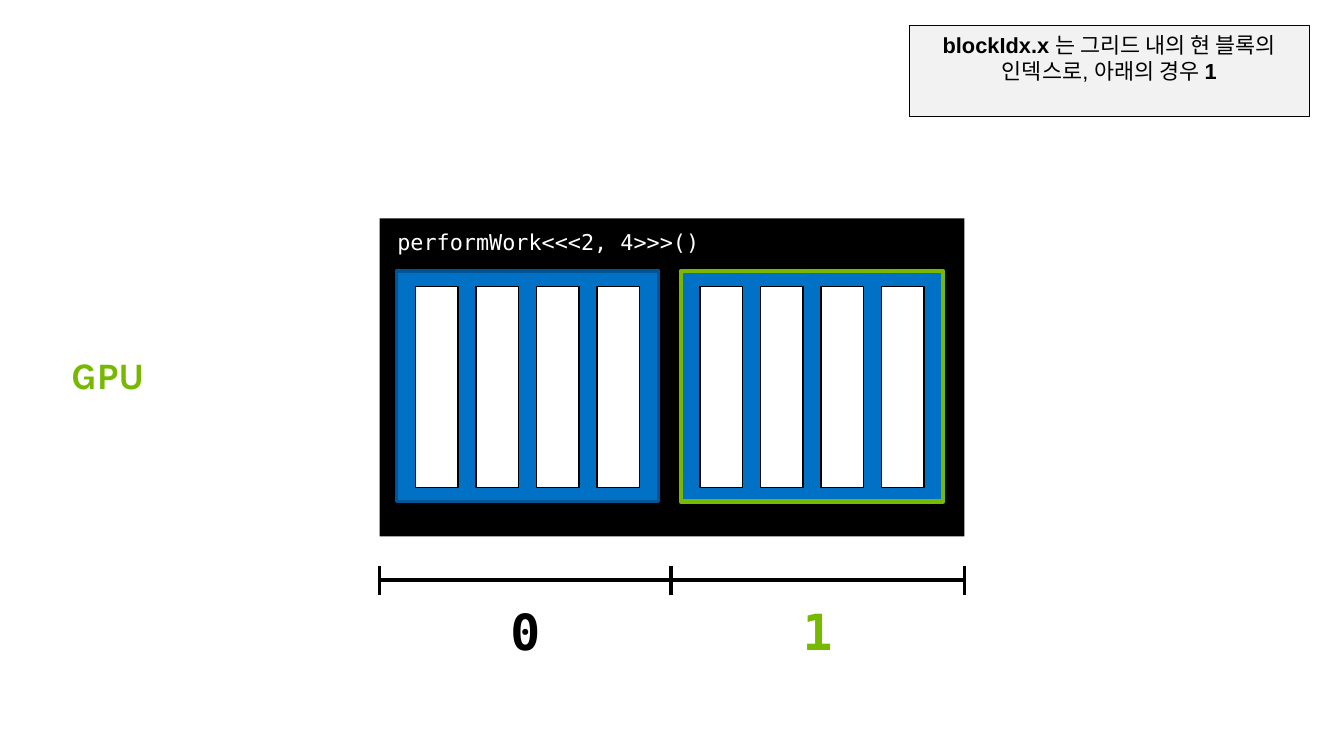
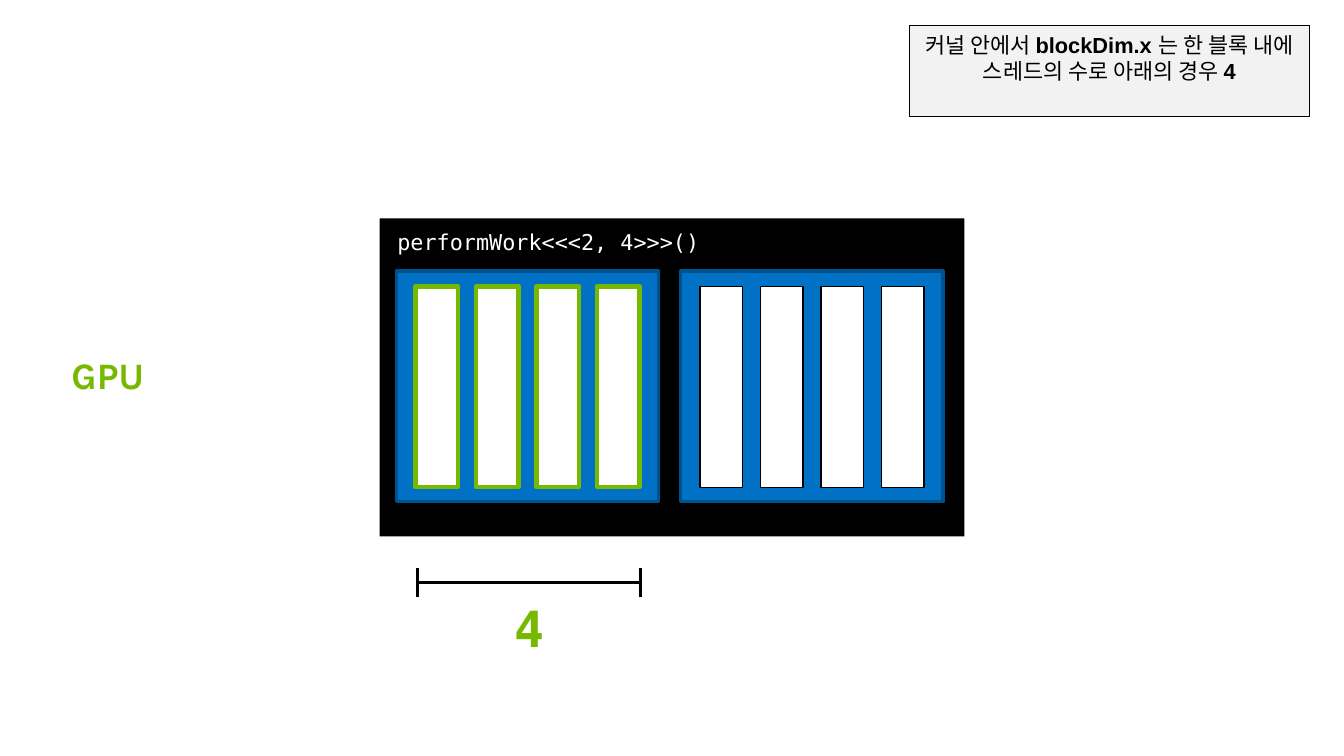
from dataclasses import dataclass
from itertools import pairwise

import lxml.etree
import pptx
import pptx.dml.color
import pptx.enum.shapes
import pptx.enum.text
import pptx.oxml.ns
import pptx.shapes.autoshape
import pptx.shapes.shapetree
import pptx.slide
import pptx.util

Inches = pptx.util.Inches
Pt = pptx.util.Pt
RGBColor = pptx.dml.color.RGBColor
ALIGN = pptx.enum.text.PP_ALIGN
ANCHOR = pptx.enum.text.MSO_ANCHOR
Shapes = pptx.shapes.shapetree.SlideShapes | pptx.shapes.shapetree.GroupShapes
Shape = pptx.shapes.autoshape.Shape

BLACK = RGBColor(0x00, 0x00, 0x00)
WHITE = RGBColor(0xFF, 0xFF, 0xFF)
GREEN = RGBColor(0x76, 0xB9, 0x00)
BLUE = RGBColor(0x00, 0x71, 0xC5)
NAVY = RGBColor(0x00, 0x54, 0x93)
DARK_BLUE = RGBColor(0x00, 0x52, 0x8F)
PALE_GRAY = RGBColor(0xF2, 0xF2, 0xF2)

SANS, MONO, LABEL_FONT = "Arial", "DejaVu Sans Mono", "Karla"

BLOCK_TOP, BLOCK_LEFT, BLOCK_PITCH = 2.42, 3.54, 2.54
THREAD_COUNT, THREAD_INSET, THREAD_PITCH = 4, 0.17, 0.54
TICK_HALF = 0.13


@dataclass(frozen=True)
class Box:
    left: float
    top: float
    width: float
    height: float


@dataclass(frozen=True)
class Outline:
    color: RGBColor
    width: float


@dataclass(frozen=True)
class TextStyle:
    font: str
    size: int
    color: RGBColor
    bold: bool = False
    align: ALIGN = ALIGN.LEFT
    anchor: ANCHOR = ANCHOR.MIDDLE


@dataclass(frozen=True)
class Block:
    outline: Outline
    threads: Outline


@dataclass(frozen=True)
class Ruler:
    """A scale with one label centred between each pair of ticks."""
    y: float
    ticks: tuple[float, ...]
    labels: tuple[tuple[str, RGBColor], ...]
    label_top: float
    label_width: float


@dataclass(frozen=True)
class KernelSlide:
    note: tuple[tuple[str, bool], ...]
    blocks: tuple[Block, ...]
    ruler: Ruler


THIN = Outline(BLACK, 0.75)
HIGHLIGHT = Outline(GREEN, 3)

SLIDES = (
    KernelSlide(
        note=(("blockIdx.x", True),
              (" 는 그리드 내의 현 블록의 인덱스로, 아래의 경우 ", False),
              ("1", True)),
        blocks=(Block(Outline(NAVY, 2.25), THIN), Block(HIGHLIGHT, THIN)),
        ruler=Ruler(5.18, (3.39, 5.99, 8.61), (("0", BLACK), ("1", GREEN)), 5.31, 0.68),
    ),
    KernelSlide(
        note=(("커널 안에서 ", False),
              ("blockDim.x", True),
              (" 는 한 블록 내에 스레드의 수로 아래의 경우 ", False),
              ("4", True)),
        blocks=(Block(Outline(DARK_BLUE, 2), HIGHLIGHT),
                Block(Outline(DARK_BLUE, 2), THIN)),
        ruler=Ruler(5.2, (3.73, 5.72), (("4", GREEN),), 5.28, 0.52),
    ),
)


def place(box: Box) -> tuple[pptx.util.Length, ...]:
    return tuple(Inches(v) for v in (box.left, box.top, box.width, box.height))


def add_rect(shapes: Shapes, box: Box, fill: RGBColor,
             outline: Outline | None = None) -> Shape:
    sp = shapes.add_shape(pptx.enum.shapes.MSO_SHAPE.RECTANGLE, *place(box))
    sp.shadow.inherit = False
    sp.fill.solid()
    sp.fill.fore_color.rgb = fill
    if outline:
        sp.line.color.rgb = outline.color
        sp.line.width = Pt(outline.width)
    else:
        sp.line.fill.background()
    return sp


def write(sp: Shape, runs: tuple[tuple[str, bool], ...], style: TextStyle) -> None:
    """Fill the shape with one paragraph of (text, bold) runs."""
    tf = sp.text_frame
    tf.word_wrap = True
    tf.vertical_anchor = style.anchor
    p = tf.paragraphs[0]
    p.alignment = style.align
    for text, bold in runs:
        r = p.add_run()
        r.text = text
        r.font.name = style.font
        r.font.size = Pt(style.size)
        r.font.bold = bold
        r.font.color.rgb = style.color


def add_label(shapes: Shapes, box: Box, text: str, style: TextStyle) -> Shape:
    sp = shapes.add_textbox(*place(box))
    write(sp, ((text, style.bold),), style)
    return sp


def add_line(shapes: Shapes, x1: float, y1: float, x2: float, y2: float) -> None:
    line = shapes.add_connector(pptx.enum.shapes.MSO_CONNECTOR.STRAIGHT,
                                Inches(x1), Inches(y1), Inches(x2), Inches(y2))
    line.line.color.rgb = BLACK
    line.line.width = Pt(2.25)
    sp_pr = line._element.spPr
    lxml.etree.SubElement(sp_pr, pptx.oxml.ns.qn("a:effectLst"))


def add_note(shapes: Shapes, runs: tuple[tuple[str, bool], ...]) -> None:
    sp = add_rect(shapes, Box(8.12, 0.23, 3.57, 0.81), PALE_GRAY, THIN)
    write(sp, runs, TextStyle(SANS, 14, BLACK, align=ALIGN.CENTER, anchor=ANCHOR.TOP))


def add_gpu_label(shapes: Shapes) -> None:
    style = TextStyle(LABEL_FONT, 24, GREEN, bold=True, anchor=ANCHOR.BOTTOM)
    sp = add_label(shapes, Box(0.54, 3.14, 0.97, 0.46), "GPU", style)
    sp.text_frame.paragraphs[0].line_spacing = 0.9


def add_grid(shapes: Shapes, blocks: tuple[Block, ...]) -> None:
    """Draw the kernel call with its blocks and their threads."""
    add_rect(shapes, Box(3.39, 1.95, 5.22, 2.84), BLACK)
    call = add_rect(shapes, Box(3.45, 1.99, 3.06, 0.34), BLACK)
    write(call, (("performWork<<<2, 4>>>()", False),), TextStyle(MONO, 14, WHITE))
    for i, block in enumerate(blocks):
        left = BLOCK_LEFT + i * BLOCK_PITCH
        add_rect(shapes, Box(left, BLOCK_TOP, 2.34, 2.06), BLUE, block.outline)
        for j in range(THREAD_COUNT):
            x = left + THREAD_INSET + j * THREAD_PITCH
            add_rect(shapes, Box(x, 2.56, 0.38, 1.79), WHITE, block.threads)


def add_ruler(shapes: Shapes, ruler: Ruler) -> None:
    add_line(shapes, ruler.ticks[0], ruler.y, ruler.ticks[-1], ruler.y)
    for x in ruler.ticks:
        add_line(shapes, x, ruler.y - TICK_HALF, x, ruler.y + TICK_HALF)
    for (start, end), (text, color) in zip(pairwise(ruler.ticks), ruler.labels):
        left = (start + end - ruler.label_width) / 2
        add_label(shapes, Box(left, ruler.label_top, ruler.label_width, 0.64), text,
                  TextStyle(MONO, 32, color, bold=True, align=ALIGN.CENTER))


def add_kernel_slide(prs: pptx.presentation.Presentation, content: KernelSlide) -> None:
    s = prs.slides.add_slide(prs.slide_layouts.get_by_name("Blank"))
    add_note(s.shapes, content.note)
    add_gpu_label(s.shapes)
    add_grid(s.shapes, content.blocks)
    add_ruler(s.shapes.add_group_shape().shapes, content.ruler)


def main() -> None:
    prs = pptx.Presentation()
    prs.slide_width, prs.slide_height = Inches(12), Inches(6.75)
    for content in SLIDES:
        add_kernel_slide(prs, content)
    prs.save("out.pptx")


if __name__ == "__main__":
    main()
